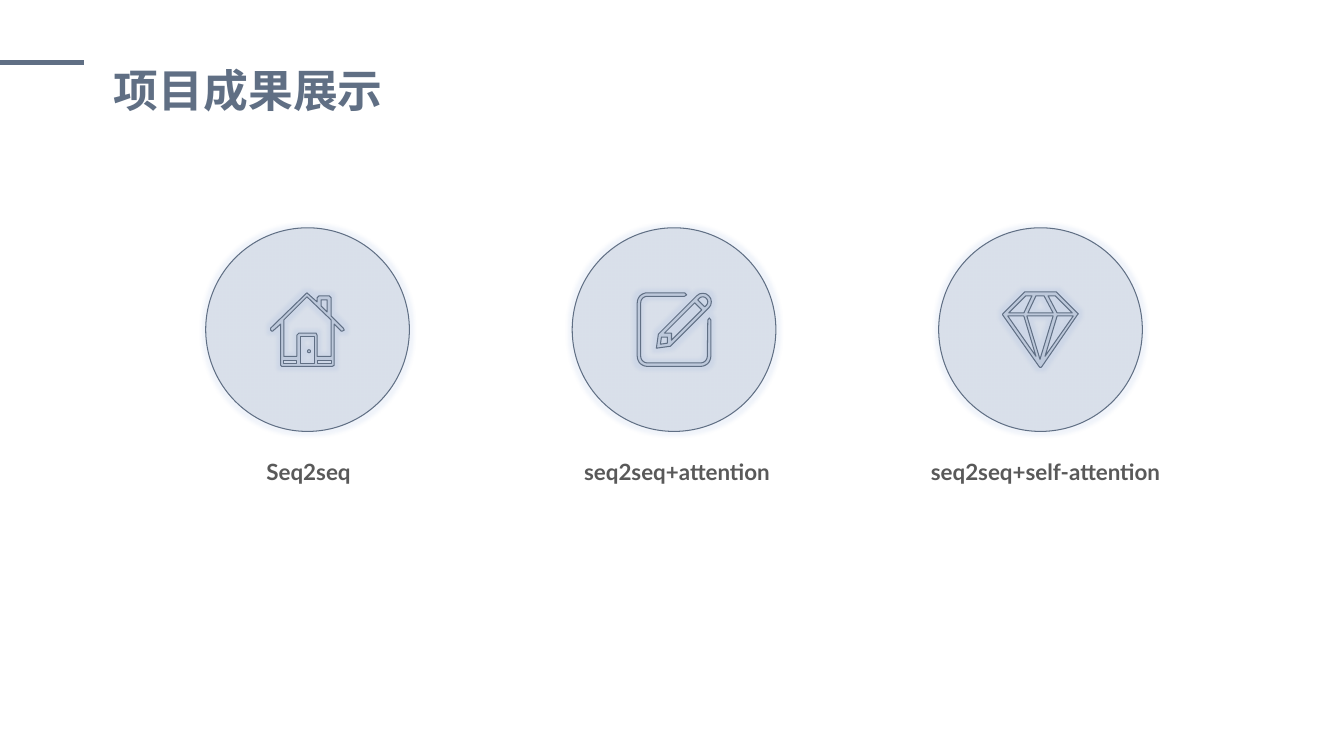
from math import cos, radians, sin

from lxml.etree import SubElement
from pptx import Presentation
from pptx.dml.color import RGBColor
from pptx.enum.shapes import MSO_CONNECTOR, MSO_SHAPE
from pptx.enum.text import MSO_ANCHOR, PP_ALIGN
from pptx.oxml.ns import qn
from pptx.util import Inches, Pt

SLATE = RGBColor(0x60, 0x6F, 0x84)
MIST = RGBColor(0x84, 0x97, 0xB0)
HALO = RGBColor(0x44, 0x72, 0xC4)
GREY = RGBColor(0x59, 0x59, 0x59)

CIRCLE_SIZE = 2.02
CIRCLE_PITCH = 3.635
LABEL_PITCH = 3.655


def arc(center_x, center_y, radius, start, end, steps=8):
    """Return points along an arc, with angles in degrees."""
    angles = [radians(start + (end - start) * step / steps) for step in range(steps + 1)]
    return [(center_x + radius * cos(angle), center_y + radius * sin(angle)) for angle in angles]


def block(left, top, right, bottom):
    """Return the corners of a rectangle."""
    return [(left, top), (right, top), (right, bottom), (left, bottom)]


HOUSE = [
    arc(38, 58, 1.5, 0, 360),
    [(60, 63), (46, 63), (46, 42), (45, 40), (28, 40), (26, 42), (26, 63), (13, 63),
     (13, 27), (36, 4), (60, 27)],
    block(46, 67, 60, 70),
    block(30, 43, 43, 70),
    block(13, 67, 26, 70),
    [(50, 7), (56, 7), (56, 19), (50, 13)],
    [(72, 35), (60, 23), (60, 5), (58, 3), (48, 3), (46, 5), (46, 9), (37, 1), (36, 0),
     (35, 1), (0, 35), (0, 37), (1, 38), (2, 38), (10, 31), (10, 72), (11, 73), (61, 73),
     (63, 72), (63, 31), (70, 38), (71, 38), (73, 37)],
]
PENCIL = [
    [(71.5, 25), (70, 27), *arc(63, 63, 6.5, 0, 90), *arc(10, 63, 6.5, 90, 180),
     *arc(10, 10, 6.5, 180, 270), (47, 3.5), (49, 2), (47, 0), *arc(10, 10, 10, 270, 180),
     *arc(10, 63, 10, 180, 90), *arc(63, 63, 10, 90, 0), (73, 27)],
    [(24, 44), (30, 44), (30, 50), (23, 51)],
    [(57, 10), (64, 17), (34, 47), (34, 40), (27, 40)],
    [*arc(65, 9, 5, 225, 405), (67, 14), (60, 7)],
    [(19, 55), (33, 53), *arc(65, 9, 8.5, 45, -135), (21, 41)],
]
DIAMOND = [
    [(42, 64), (54, 24), (70, 24)],
    [(37, 67), (24, 24), (50, 24)],
    [(5, 24), (21, 24), (33, 64)],
    [(23, 4), (29, 4), (21, 21), (6, 21)],
    [(41, 4), (50, 21), (25, 21), (33, 4)],
    [(52, 4), (69, 21), (54, 21), (45, 4)],
    [(75, 22), (74, 21), (54, 1), (53, 0), (22, 0), (21, 1), (1, 21), (0, 22), (0, 23),
     (36, 74), (37, 75), (38, 75), (39, 74), (74, 23)],
]
MODELS = [
    ("Seq2seq", HOUSE, 0.73, 1.08),
    ("seq2seq+attention", PENCIL, 0.73, 2.2),
    ("seq2seq+self-attention", DIAMOND, 0.75, 2.7),
]


def set_alpha(color_element, percent):
    """Make a colour element partly transparent."""
    SubElement(color_element, qn("a:alpha")).set("val", str(percent * 1000))


def style_glass(shape):
    """Give a shape the translucent fill, hairline and faint glow."""
    shape.shadow.inherit = False
    shape.fill.solid()
    shape.fill.fore_color.rgb = MIST
    properties = shape._element.spPr
    set_alpha(properties.find(qn("a:solidFill"))[0], 21)
    shape.line.color.rgb = SLATE
    shape.line.width = Pt(0)
    glow = SubElement(properties.find(qn("a:effectLst")), qn("a:glow"), rad=str(Inches(0.07)))
    tint = SubElement(glow, qn("a:srgbClr"), val=str(HALO))
    set_alpha(tint, 8)


def add_text(page, text, left, top, width, height, *, font, size, color,
             align=PP_ALIGN.LEFT, anchor=MSO_ANCHOR.TOP, wrap=True):
    """Add one bold line of text in a box."""
    box = page.shapes.add_textbox(Inches(left), Inches(top), Inches(width), Inches(height))
    frame = box.text_frame
    frame.word_wrap = wrap
    frame.vertical_anchor = anchor
    para = frame.paragraphs[0]
    para.alignment = align
    span = para.add_run()
    span.text = text
    span.font.name = font
    span.font.size = Pt(size)
    span.font.bold = True
    span.font.color.rgb = color
    properties = span._r.get_or_add_rPr()
    SubElement(properties, qn("a:ea")).set("typeface", font)


def add_icon(page, contours, left, top):
    """Draw an icon whose contours are in hundredths of an inch."""
    fine = [[(x * 10, y * 10) for x, y in contour] for contour in contours]
    builder = page.shapes.build_freeform(*fine[0][0], scale=Inches(1) / 1000)
    builder.add_line_segments(fine[0][1:], close=True)
    for contour in fine[1:]:
        builder.move_to(*contour[0])
        builder.add_line_segments(contour[1:], close=True)
    style_glass(builder.convert_to_shape(Inches(left), Inches(top)))


def add_header(page, left, top):
    """Add the accent line and the slide title."""
    accent = page.shapes.add_connector(
        MSO_CONNECTOR.STRAIGHT, Inches(left), Inches(top), Inches(left + 0.83), Inches(top))
    accent.line.color.rgb = SLATE
    accent.line.width = Pt(3)
    SubElement(accent._element.spPr, qn("a:effectLst"))
    add_text(page, "项目成果展示", left + 1.03, top - 0.05, 6.45, 0.64,
             font="Noto Sans CJK SC", size=32, color=SLATE)


def add_models(page, left, top):
    """Add the row of model circles with icons and labels."""
    for index, (name, icon, icon_size, label_width) in enumerate(MODELS):
        circle_left = left + index * CIRCLE_PITCH
        circle = page.shapes.add_shape(
            MSO_SHAPE.OVAL, Inches(circle_left), Inches(top),
            Inches(CIRCLE_SIZE), Inches(CIRCLE_SIZE))
        style_glass(circle)
        inset = (CIRCLE_SIZE - icon_size) / 2
        add_icon(page, icon, circle_left + inset, top + inset)
        label_center = left + 1.02 + index * LABEL_PITCH
        add_text(page, name, label_center - label_width / 2, top + 2.23, label_width, 0.37,
                 font="Lato", size=16, color=GREY, align=PP_ALIGN.CENTER,
                 anchor=MSO_ANCHOR.MIDDLE, wrap=False)


def main():
    """Build and save the deck."""
    deck = Presentation()
    deck.slide_width = Inches(13.33)
    deck.slide_height = Inches(7.5)
    page = deck.slides.add_slide(deck.slide_layouts[6])
    add_header(page, 0, 0.62)
    add_models(page, 2.04, 2.26)
    deck.save("out.pptx")


if __name__ == "__main__":
    main()
